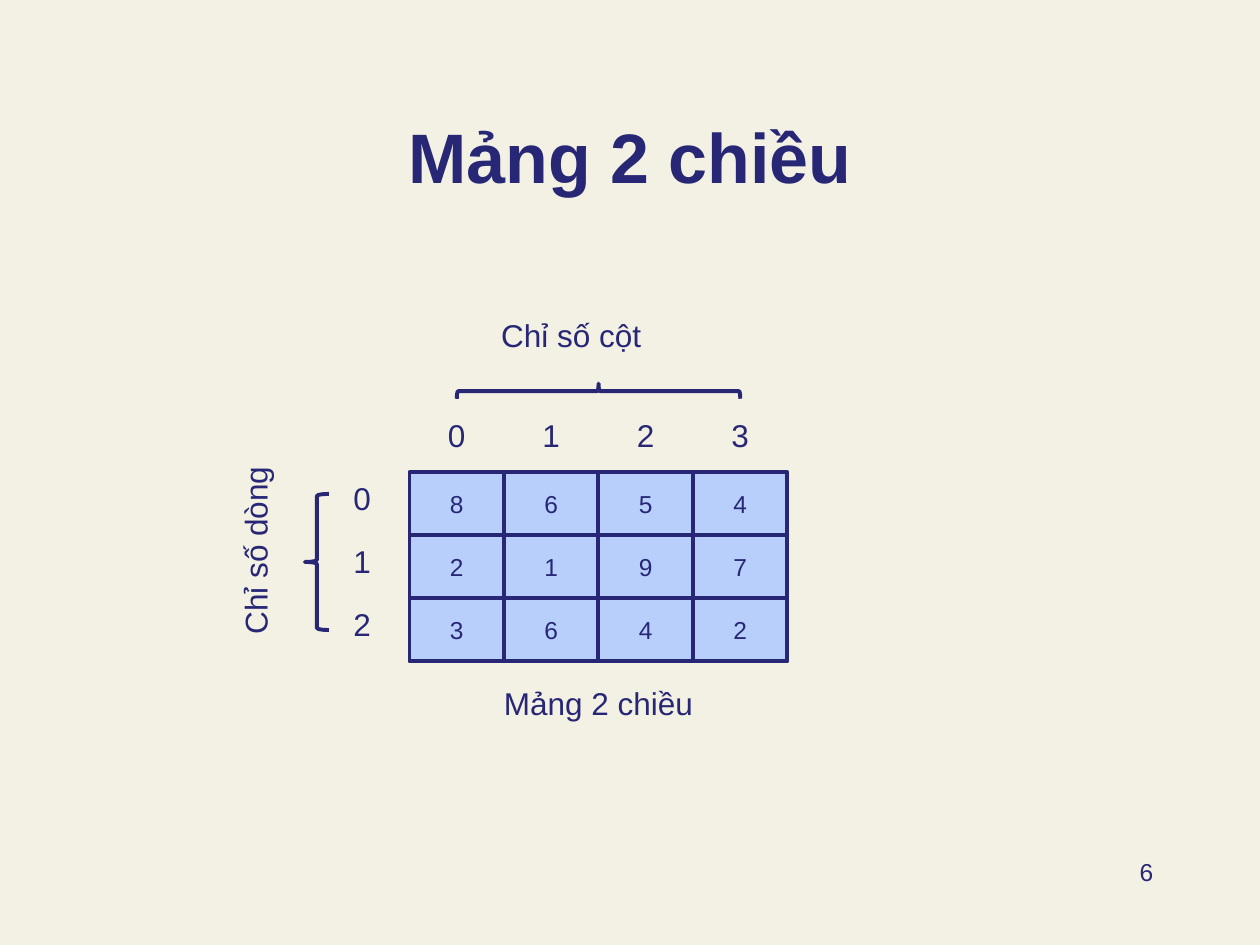
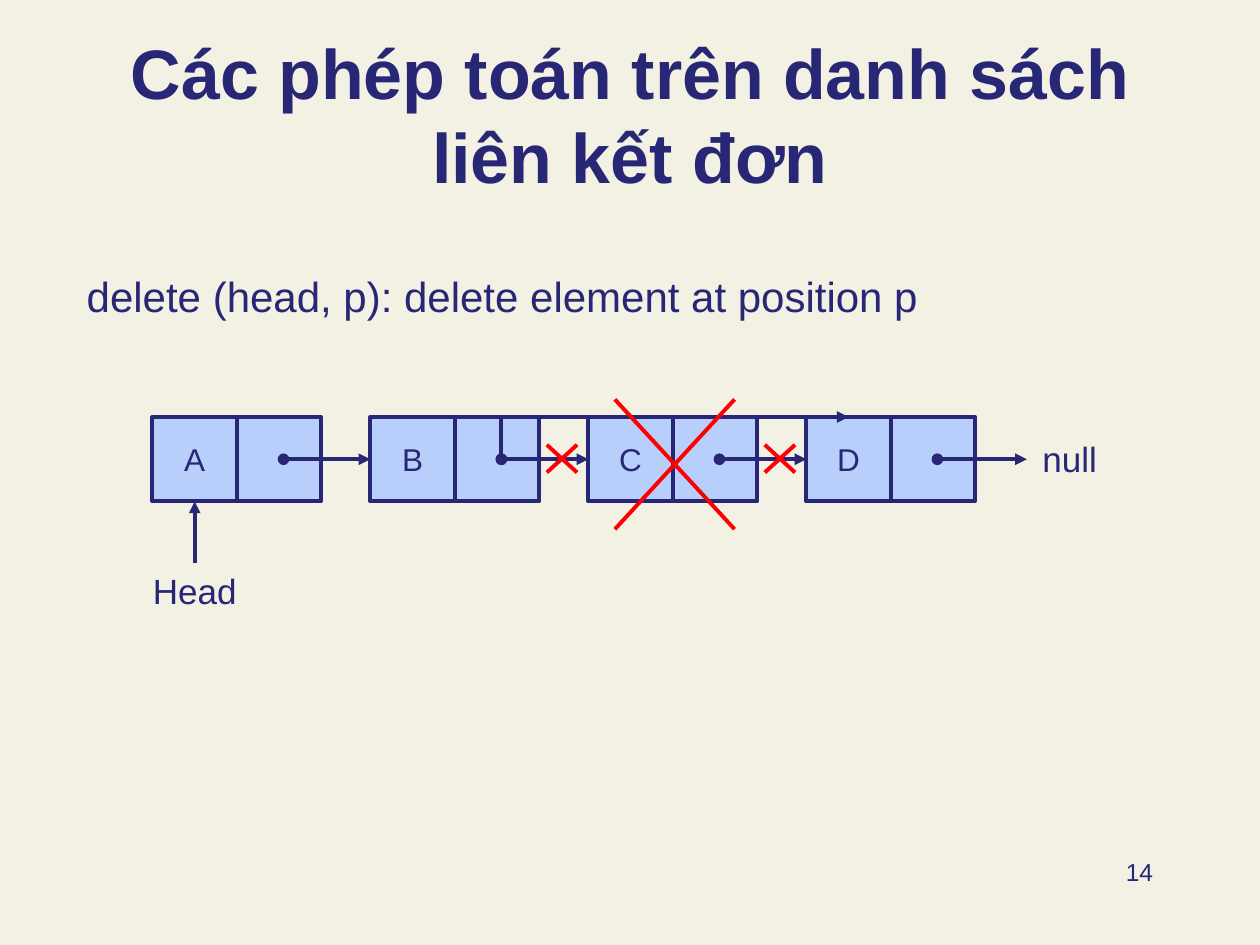
from dataclasses import dataclass

from lxml.etree import SubElement
from pptx import Presentation
from pptx.dml.color import RGBColor
from pptx.enum.shapes import MSO_CONNECTOR, MSO_SHAPE
from pptx.enum.text import MSO_ANCHOR, PP_ALIGN
from pptx.oxml.ns import qn
from pptx.util import Inches, Pt

INK = RGBColor(0x27, 0x27, 0x76)
PAPER = RGBColor(0xF3, 0xF1, 0xE4)
CELL_FILL = RGBColor(0xB8, 0xCF, 0xFB)
CROSS_RED = RGBColor(0xFF, 0x00, 0x00)
FONT = "Arial"
LINE_WIDTH = Pt(2.25)
CENTER, LEFT, RIGHT = PP_ALIGN.CENTER, PP_ALIGN.LEFT, PP_ALIGN.RIGHT


@dataclass
class Box:
    left: float
    top: float
    width: float
    height: float

    def place(self):
        return [Inches(n) for n in (self.left, self.top, self.width, self.height)]

    def cell(self, column, row, columns, rows):
        width, height = self.width / columns, self.height / rows
        return Box(self.left + column * width, self.top + row * height, width, height)

    def inner(self, dx, dy, width, height):
        return Box(self.left + dx, self.top + dy, width, height)


TITLE_BOX = Box(0.75, 0.54, 8.5, 1.08)
NUMBER_BOX = Box(7.17, 6.75, 2.08, 0.5)
BODY_BOX = Box(0.59, 2.1, 8.66, 0.9)
MATRIX_BOX = Box(3.25, 3.75, 3, 1.5)
LIST_BOX = Box(1.21, 3.31, 6.53, 0.67)


def write(shape, text, size, align=CENTER, anchor=MSO_ANCHOR.TOP, bold=False):
    frame = shape.text_frame
    frame.word_wrap = True
    frame.vertical_anchor = anchor
    para = frame.paragraphs[0]
    para.alignment = align
    span = para.add_run()
    span.text = text
    span.font.name = FONT
    span.font.size = Pt(size)
    span.font.bold = bold
    span.font.color.rgb = INK


def add_label(page, box, text, size=18, **style):
    label = page.shapes.add_textbox(*box.place())
    write(label, text, size, **style)
    return label


def outline(shape, color=INK):
    shape.line.color.rgb = color
    shape.line.width = LINE_WIDTH


def add_cell(page, box, text="", size=18):
    cell = page.shapes.add_shape(MSO_SHAPE.RECTANGLE, *box.place())
    cell.shadow.inherit = False
    cell.fill.solid()
    cell.fill.fore_color.rgb = CELL_FILL
    outline(cell)
    if text:
        write(cell, text, size, anchor=MSO_ANCHOR.MIDDLE)
    return cell


def add_brace(page, box, rotation=0):
    brace = page.shapes.add_shape(MSO_SHAPE.LEFT_BRACE, *box.place())
    brace.shadow.inherit = False
    brace.fill.background()
    brace.adjustments[0] = 0.083
    brace.rotation = rotation
    outline(brace)


def add_line(page, start, end, color=INK, head=None, tail=None, kind=MSO_CONNECTOR.STRAIGHT):
    line = page.shapes.add_connector(kind, *[Inches(n) for n in (*start, *end)])
    outline(line, color)
    properties = line._element.spPr
    for tag, arrow in (("a:headEnd", head), ("a:tailEnd", tail)):
        if arrow:
            SubElement(properties.find(qn("a:ln")), qn(tag), type=arrow)
    SubElement(properties, qn("a:effectLst"))
    return line


def add_cross(page, box):
    right, bottom = box.left + box.width, box.top + box.height
    add_line(page, (box.left, box.top), (right, bottom), CROSS_RED)
    add_line(page, (right, box.top), (box.left, bottom), CROSS_RED)


def add_page(deck, title, number):
    page = deck.slides.add_slide(deck.slide_layouts[6])
    page.background.fill.solid()
    page.background.fill.fore_color.rgb = PAPER
    add_label(page, TITLE_BOX, title, 40, anchor=MSO_ANCHOR.BOTTOM, bold=True)
    add_label(page, NUMBER_BOX, number, 14, align=RIGHT)
    return page


def draw_matrix(page, box, values):
    rows, columns = len(values), len(values[0])
    for row, numbers in enumerate(values):
        for column, number in enumerate(numbers):
            add_cell(page, box.cell(column, row, columns, rows), str(number), 14)
    for column in range(columns):
        add_label(page, box.cell(column, -1, columns, rows), str(column))
    for row in range(rows):
        add_label(page, box.cell(-1, row, columns, rows), str(row))
    add_label(page, box.inner(0, box.height + 0.13, box.width, 0.4), "Mảng 2 chiều")
    add_brace(page, box.inner(-0.83, 0.17, 0.19, 1.08))
    add_brace(page, box.inner(1.44, -1.77, 0.12, 2.25), rotation=90)
    add_label(page, box.inner(0.63, -1.29, 1.74, 0.4), "Chỉ số cột", align=LEFT)
    row_title = add_label(page, box.inner(-2.08, 0.33, 1.71, 0.4), "Chỉ số dòng", align=LEFT)
    row_title.rotation = 270


def draw_linked_list(page, box, names):
    side = box.height
    pitch = (box.width - 2 * side) / (len(names) - 1)
    middle = box.top + side / 2
    nodes = [box.inner(index * pitch, 0, 2 * side, side) for index in range(len(names))]
    data_cells = []
    for node, name in zip(nodes, names):
        data_cells.append(add_cell(page, node.cell(0, 0, 2, 1), name))
        add_cell(page, node.cell(1, 0, 2, 1))

    starts = [(node.left + 1.04, middle) for node in nodes]
    for index, (x, y) in enumerate(starts):
        arrow = add_line(page, (x, y), (x + 0.71, y), head="oval", tail="triangle")
        if index + 1 < len(nodes):
            arrow.end_connect(data_cells[index + 1], 1)
    add_label(page, box.inner(6.96, 0.11, 0.64, 0.77), "null", 20)

    head_box = box.inner(side / 2 - 0.44, 1.16, 0.88, 0.44)
    head_label = add_label(page, head_box, "Head", 20)
    center = box.left + side / 2
    head_arrow = add_line(page, (center, head_box.top), (center, box.top + side), tail="triangle")
    head_arrow.begin_connect(head_label, 0)
    head_arrow.end_connect(data_cells[0], 2)

    bypass = add_line(page, starts[1], (nodes[3].left + side / 2, box.top),
                      head="oval", tail="triangle", kind=MSO_CONNECTOR.ELBOW)
    guides = bypass._element.spPr.prstGeom.get_or_add_avLst()
    SubElement(guides, qn("a:gd"), name="adj1", fmla="val 0")

    for node in nodes[1:3]:
        add_cross(page, node.inner(1.4, 0.22, 0.24, 0.22))
    add_cross(page, nodes[2].inner(0.21, -0.14, 0.95, 1.03))


def main():
    deck = Presentation()
    deck.slide_width, deck.slide_height = Inches(10), Inches(7.5)

    matrix_page = add_page(deck, "Mảng 2 chiều", "6")
    draw_matrix(matrix_page, MATRIX_BOX, [[8, 6, 5, 4], [2, 1, 9, 7], [3, 6, 4, 2]])

    list_page = add_page(deck, "Các phép toán trên danh sách liên kết đơn", "14")
    add_label(list_page, BODY_BOX, "delete (head, p): delete element at position p", 24, align=LEFT)
    draw_linked_list(list_page, LIST_BOX, "ABCD")

    deck.save("out.pptx")


if __name__ == "__main__":
    main()
